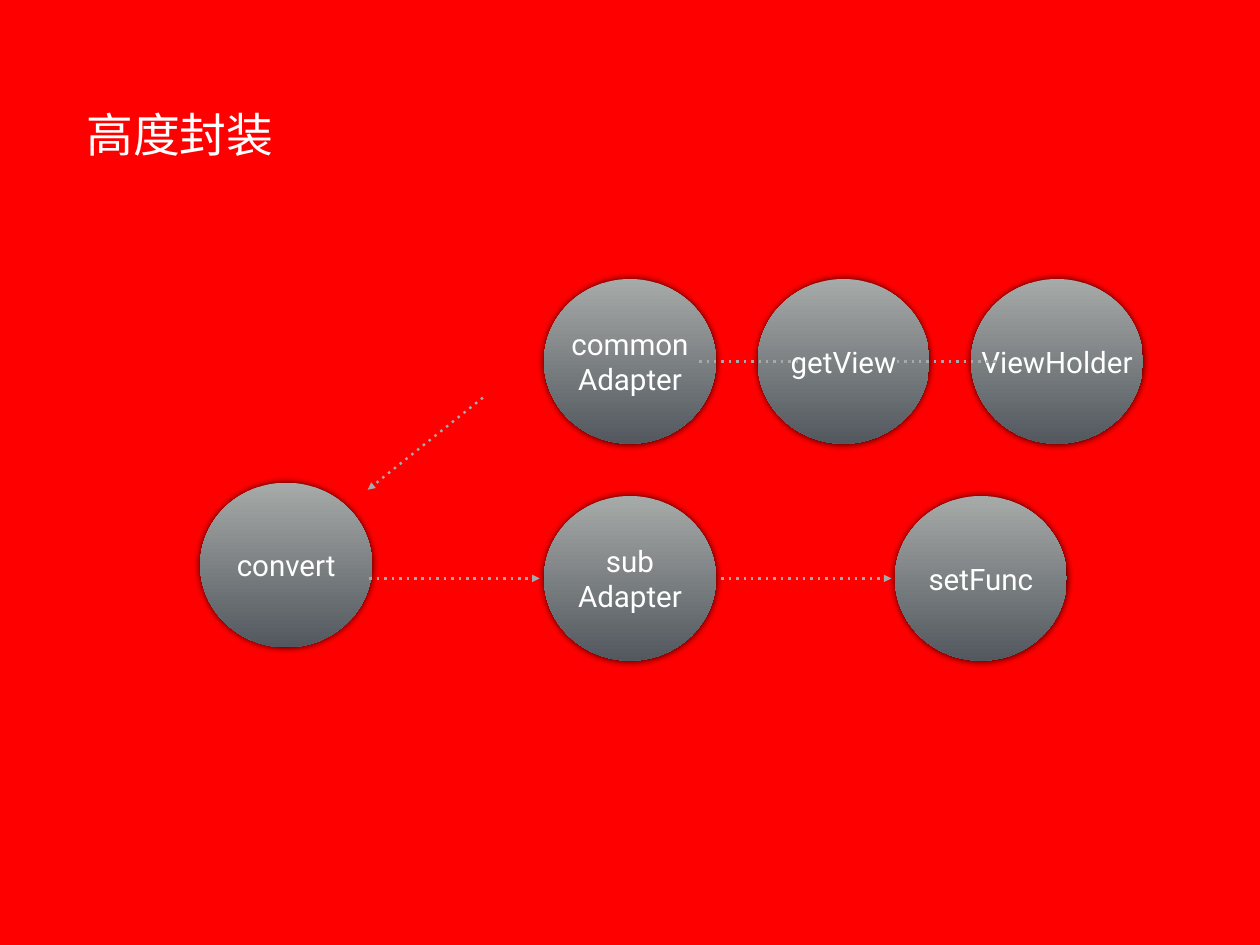
import pptx
import pptx.dml.color
import pptx.enum.shapes
import pptx.enum.text
import pptx.oxml
import pptx.oxml.ns
import pptx.util
from pptx.util import Inches

WHITE, GREY, SLATE, RED = "FFFFFF", "A6AAA8", "53585F", "FF0000"
CIRCLE_WIDTH, CIRCLE_HEIGHT = 1.94, 1.86
TOP_ROW, BOTTOM_ROW = 3.15, 5.6
TOP_AXIS, BOTTOM_AXIS = TOP_ROW + CIRCLE_HEIGHT / 2, BOTTOM_ROW + CIRCLE_HEIGHT / 2
NAMESPACE = pptx.oxml.ns.nsdecls("a")


def rgb(value):
    return pptx.dml.color.RGBColor.from_string(value)


def write_text(shape, text, size):
    frame = shape.text_frame
    frame.text = text
    frame.word_wrap = False
    frame.auto_size = pptx.enum.text.MSO_AUTO_SIZE.NONE
    frame.vertical_anchor = pptx.enum.text.MSO_ANCHOR.MIDDLE
    frame.margin_left = frame.margin_right = Inches(0.06)
    frame.margin_top = frame.margin_bottom = Inches(0.06)
    for paragraph in frame.paragraphs:
        paragraph.alignment = pptx.enum.text.PP_ALIGN.CENTER
        paragraph.font.name = "Roboto"
        paragraph.font.size = pptx.util.Pt(size)
        paragraph.font.color.rgb = rgb(WHITE)


# Slide and background
presentation = pptx.Presentation()
presentation.slide_width = Inches(14.22)
presentation.slide_height = Inches(10.67)
slide = presentation.slides.add_slide(presentation.slide_layouts[5])
slide.background.fill.solid()
slide.background.fill.fore_color.rgb = rgb(RED)

# Title
title = slide.shapes.title
title.left, title.top = Inches(0.91), Inches(1.19)
title.width, title.height = Inches(2.24), Inches(0.64)
write_text(title, "高度封装", 38)

# Circles
circles = [
    ("common\nAdapter", 6.14, TOP_ROW),
    ("getView", 8.55, TOP_ROW),
    ("ViewHolder", 10.96, TOP_ROW),
    ("convert", 2.26, 5.45),
    ("sub\nAdapter", 6.14, BOTTOM_ROW),
    ("setFunc", 10.1, BOTTOM_ROW),
]
for label, left, top in circles:
    circle = slide.shapes.add_shape(
        pptx.enum.shapes.MSO_SHAPE.OVAL,
        Inches(left), Inches(top), Inches(CIRCLE_WIDTH), Inches(CIRCLE_HEIGHT))
    circle.fill.gradient()
    circle.fill.gradient_angle = 270
    for stop, color in zip(circle.fill.gradient_stops, (GREY, SLATE)):
        stop.color.rgb = rgb(color)
    circle.line.fill.background()
    # Soft dark halo
    circle.shadow.inherit = False
    effects = circle._element.spPr.find(pptx.oxml.ns.qn("a:effectLst"))
    effects.append(pptx.oxml.parse_xml(
        f'<a:outerShdw {NAMESPACE} blurRad="76200" dist="0" dir="18900000" rotWithShape="0">'
        '<a:srgbClr val="000000"><a:alpha val="80000"/></a:srgbClr></a:outerShdw>'))
    write_text(circle, label, 24)

# Dotted links: start, end, arrowhead
links = [
    ((5.45, 4.49), (4.15, 5.53), True),
    ((4.17, BOTTOM_AXIS), (6.09, BOTTOM_AXIS), True),
    ((8.14, BOTTOM_AXIS), (10.06, BOTTOM_AXIS), True),
    ((7.89, TOP_AXIS), (9.03, TOP_AXIS), False),
    ((10.12, TOP_AXIS), (11.26, TOP_AXIS), False),
]
for start, end, has_arrow in links:
    link = slide.shapes.add_connector(
        pptx.enum.shapes.MSO_CONNECTOR.STRAIGHT,
        *[Inches(value) for value in start + end])
    link.line.color.rgb = rgb(GREY)
    link.line.width = pptx.util.Pt(2)
    outline = link.line._get_or_add_ln()
    outline.append(pptx.oxml.parse_xml(
        f'<a:custDash {NAMESPACE}><a:ds d="100000" sp="200000"/></a:custDash>'))
    if has_arrow:
        outline.append(pptx.oxml.parse_xml(f'<a:tailEnd {NAMESPACE} type="triangle"/>'))
    link._element.spPr.append(pptx.oxml.parse_xml(f"<a:effectLst {NAMESPACE}/>"))

presentation.save("out.pptx")
